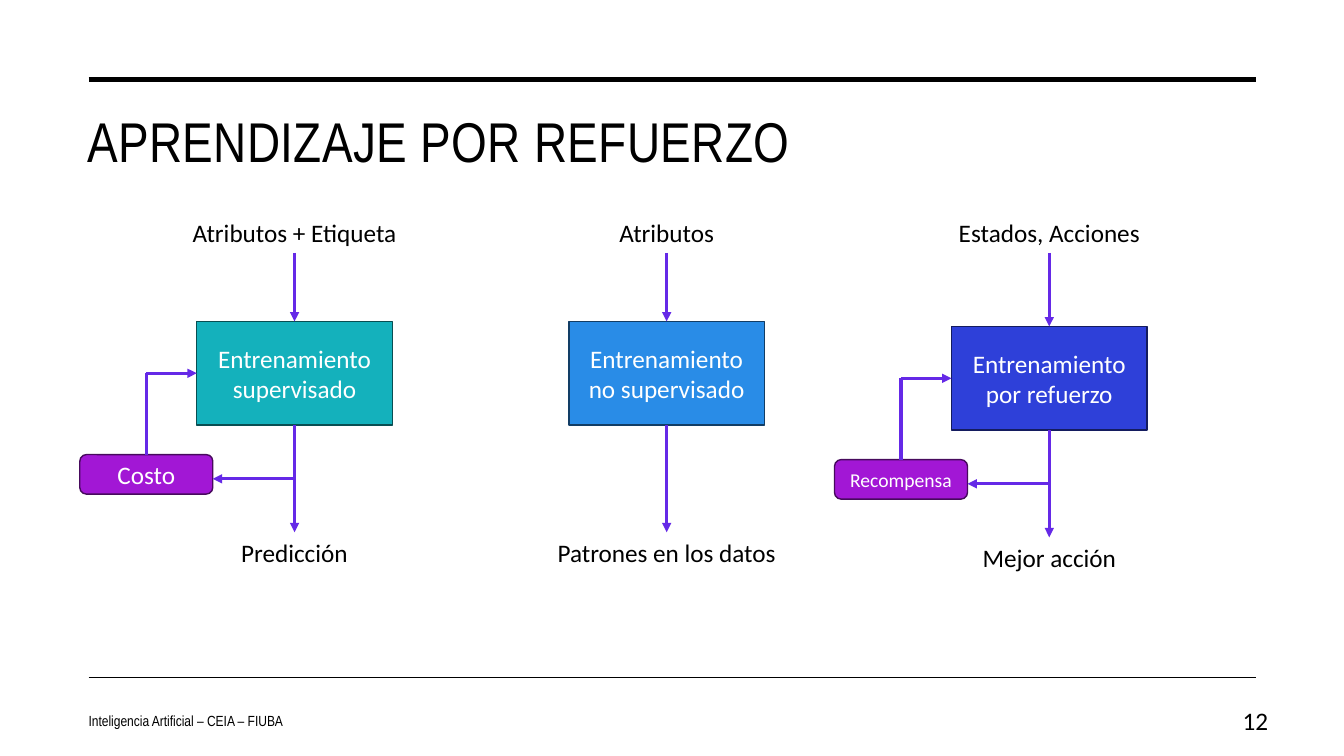
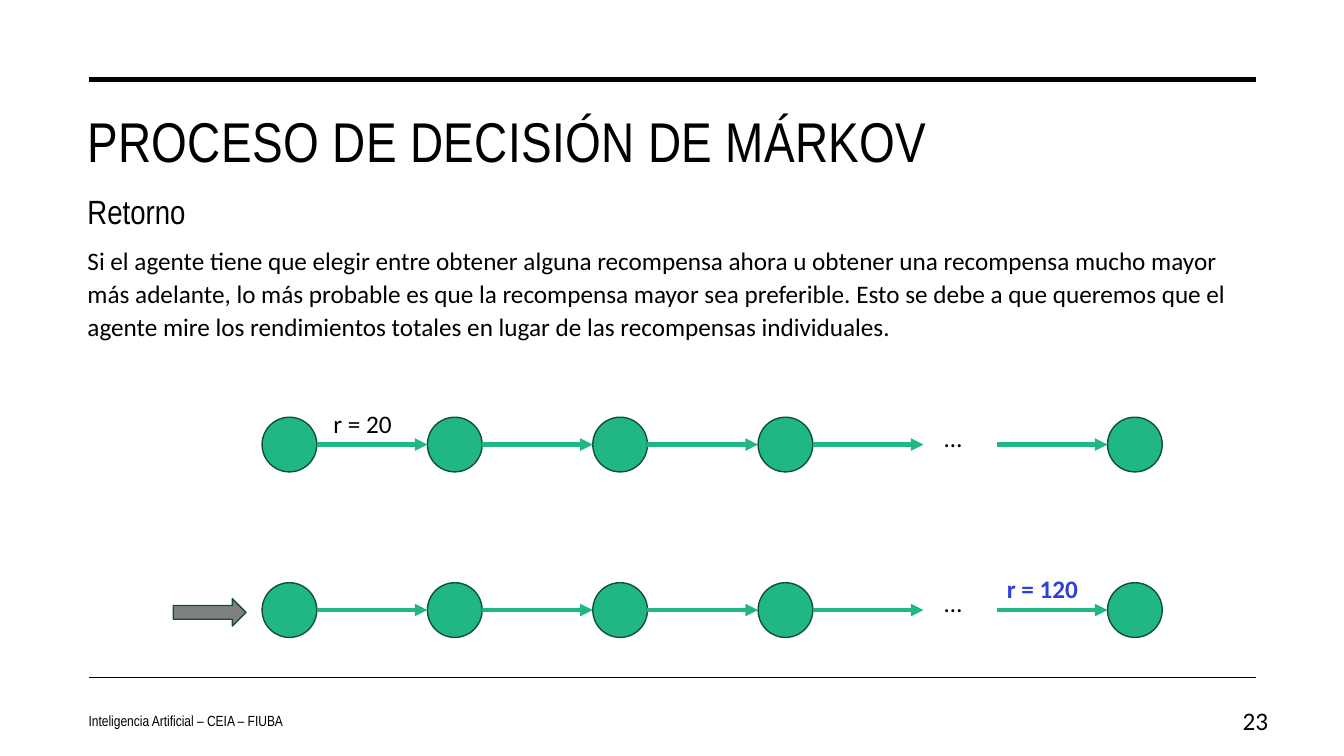
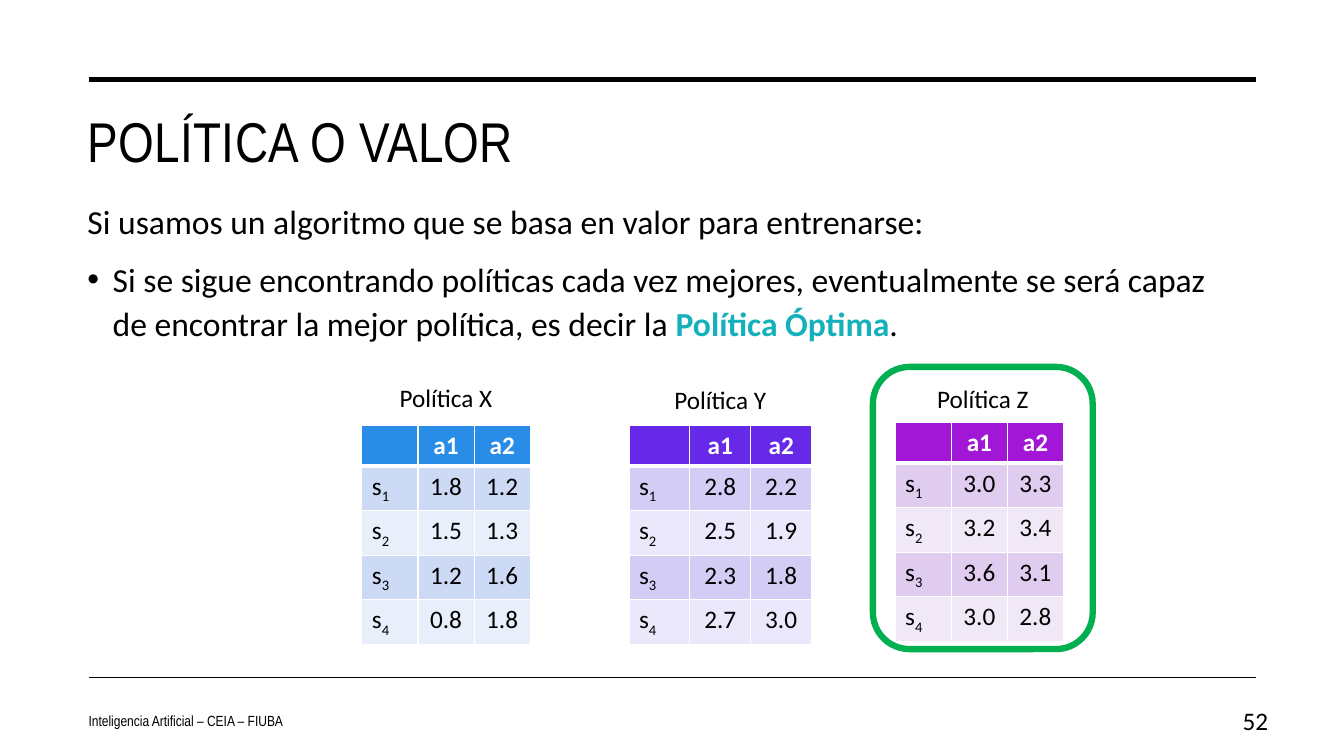
from lxml import etree
from pptx import Presentation
from pptx.dml.color import RGBColor
from pptx.enum import shapes, text
from pptx.oxml import ns
from pptx.util import Pt

COLOURS = {
    "black": "000000", "white": "FFFFFF", "grey": "808080",
    "teal": "14B1BC", "teal_edge": "094E52",
    "blue": "298CE7", "blue_edge": "123D65",
    "blue_dark": "CDDAF6", "blue_light": "E8EEFA",
    "indigo": "2E40D9", "indigo_edge": "141C5F",
    "violet": "6529E7", "violet_dark": "D3CDF6", "violet_light": "EAE8FA",
    "purple": "A217D5", "purple_edge": "470A5D",
    "purple_dark": "E0CCEF", "purple_light": "F0E8F7",
    "green": "21B782", "green_edge": "0E5039", "highlight": "00B050",
}
HEADING, BODY = "Arial Narrow", "Calibri"
FOOTER = "Inteligencia Artificial – CEIA – FIUBA"
LEFT, RIGHT, CONTENT_WIDTH = 63.4, 897, 841.7
LABEL_HEIGHT = 29.2

TRAININGS = [
    dict(centre=210.4, drop=0, colour="teal", name="Entrenamiento supervisado",
         source=("Atributos + Etiqueta", 172.8), result=("Predicción", 96.5),
         feedback=("Costo", 18)),
    dict(centre=476.2, drop=0, colour="blue", name="Entrenamiento no supervisado",
         source=("Atributos", 87.1), result=("Patrones en los datos", 176.4),
         feedback=None),
    dict(centre=749.5, drop=3.6, colour="indigo", name="Entrenamiento por refuerzo",
         source=("Estados, Acciones", 154.1), result=("Mejor acción", 116.6),
         feedback=("Recompensa", 14)),
]

RETURN_TEXT = (
    "Si el agente tiene que elegir entre obtener alguna recompensa ahora u obtener "
    "una recompensa mucho mayor más adelante, lo más probable es que la recompensa "
    "mayor sea preferible. Esto se debe a que queremos que el agente mire los "
    "rendimientos totales en lugar de las recompensas individuales."
)
CHAINS = [
    dict(top=298, reward="r = 20", left=231.1, width=61.2, format={}),
    dict(top=416.2, reward="r = 120", left=712.1, width=69.8,
         format=dict(colour="indigo", bold=True)),
]

VALUE_INTRO = "Si usamos un algoritmo que se basa en valor para entrenarse:"
VALUE_POINT = [
    ("Si se sigue encontrando políticas cada vez mejores, eventualmente se será "
     "capaz de encontrar la mejor política, es decir la ", {}),
    ("Política Óptima", dict(colour="teal", bold=True)),
    (".", {}),
]
ACTIONS = ["a1", "a2"]
POLICIES = [
    dict(name="Política X", label=(271.4, 269.3, 94.3), left=258.5, top=303.8,
         column=40.1, colour="blue",
         values=[("1.8", "1.2"), ("1.5", "1.3"), ("1.2", "1.6"), ("0.8", "1.8")]),
    dict(name="Política Y", label=(467.3, 270.7, 94.3), left=449.3, top=303.8,
         column=43.5, colour="violet",
         values=[("2.8", "2.2"), ("2.5", "1.9"), ("2.3", "1.8"), ("2.7", "3.0")]),
    dict(name="Política Z", label=(657.4, 270, 89.3), left=639.4, top=301.7,
         column=40.1, colour="purple",
         values=[("3.0", "3.3"), ("3.2", "3.4"), ("3.6", "3.1"), ("3.0", "2.8")]),
]


def rgb(name):
    return RGBColor.from_string(COLOURS[name])


def points(*lengths):
    return [Pt(length) for length in lengths]


def write(frame, content, size=18, font=BODY, colour="black", bold=False, align="LEFT",
          spacing=None, before=None, after=None, tracking=None, bullet=None):
    para = frame.paragraphs[0]
    if para.runs:
        para = frame.add_paragraph()
    para.alignment = getattr(text.PP_ALIGN, align)
    if spacing:
        para.line_spacing = spacing
    if before is not None:
        para.space_before = Pt(before)
    if after is not None:
        para.space_after = Pt(after)
    if bullet:
        properties = para._p.get_or_add_pPr()
        properties.set("marL", str(Pt(18)))
        properties.set("indent", str(Pt(-18)))
        etree.SubElement(properties, ns.qn("a:buFont")).set("typeface", "Arial")
        etree.SubElement(properties, ns.qn("a:buChar")).set("char", bullet)
    for words, changes in [(content, {})] if isinstance(content, str) else content:
        span = para.add_run()
        span.text = words
        span.font.name = font
        span.font.size = Pt(size)
        span.font.bold = changes.get("bold", bold)
        span.font.color.rgb = rgb(changes.get("colour", colour))
        if tracking:
            span.font._element.set("spc", str(int(tracking * 100)))
        if "baseline" in changes:
            span.font._element.set("baseline", str(changes["baseline"] * 1000))


def add_text(page, content, left, top, width, height=LABEL_HEIGHT, wrap=True,
             anchor="TOP", **format):
    box = page.shapes.add_textbox(*points(left, top, width, height))
    box.text_frame.word_wrap = wrap
    box.text_frame.vertical_anchor = getattr(text.MSO_ANCHOR, anchor)
    write(box.text_frame, content, **format)
    return box


def add_shape(page, kind, left, top, width, height, fill, edge, weight=1,
              content=None, **format):
    shape = page.shapes.add_shape(getattr(shapes.MSO_SHAPE, kind),
                                  *points(left, top, width, height))
    shape.shadow.inherit = False
    if fill:
        shape.fill.solid()
        shape.fill.fore_color.rgb = rgb(fill)
    else:
        shape.fill.background()
    shape.line.color.rgb = rgb(edge)
    shape.line.width = Pt(weight)
    if content:
        write(shape.text_frame, content, colour="white", align="CENTER", **format)
    return shape


def add_line(page, start, end, colour, weight, arrow=True, begin=None, finish=None):
    line = page.shapes.add_connector(shapes.MSO_CONNECTOR.STRAIGHT,
                                     *points(*start, *end))
    line.line.color.rgb = rgb(colour)
    line.line.width = Pt(weight)
    if arrow:
        etree.SubElement(line.line._get_or_add_ln(),
                         ns.qn("a:tailEnd")).set("type", "triangle")
    etree.SubElement(line._element.spPr, ns.qn("a:effectLst"))
    if begin:
        line.begin_connect(*begin)
    if finish:
        line.end_connect(*finish)


def add_page(deck, title, number):
    page = deck.slides.add_slide(deck.slide_layouts[6])
    for y, weight in [(57, 3.5), (484, 1)]:
        add_line(page, (LEFT, y), (RIGHT, y), "black", weight, arrow=False)
    add_text(page, title, 55.4, 72.7, CONTENT_WIDTH, 60, size=40, font=HEADING,
             tracking=0.3)
    add_text(page, FOOTER, 56.2, 500.4, 357, 28.8, anchor="MIDDLE", size=10.5,
             font=HEADING, after=6)
    add_text(page, str(number), 859.7, 500.4, 53.3, 28.8, anchor="MIDDLE", align="RIGHT")
    return page


def add_training(page, training):
    centre, drop, colour = (training[key] for key in ("centre", "drop", "colour"))
    top, width, height = 229.6 + drop, 139.7, 74
    left, middle, bottom = centre - width / 2, top + height / 2, top + height
    box = add_shape(page, "RECTANGLE", left, top, width, height, colour,
                    colour + "_edge", content=training["name"])
    source, result = [
        add_text(page, words, centre - room / 2, y, room, wrap=False, align="CENTER")
        for (words, room), y in [(training["source"], 151.4),
                                 (training["result"], 380.2 + drop)]]
    style = dict(colour="violet", weight=2.25)
    add_line(page, (centre, 180.6), (centre, top), begin=(source, 2), finish=(box, 0), **style)
    add_line(page, (centre, bottom), (centre, 380.2 + drop), begin=(box, 2),
             finish=(result, 0), **style)
    if training["feedback"]:
        words, size = training["feedback"]
        pill_left, pill_top, pill_width = centre - 153.4, 324.7 + drop, 95
        pill_centre, branch = pill_left + pill_width / 2, 342 + drop
        pill = add_shape(page, "ROUNDED_RECTANGLE", pill_left, pill_top, pill_width, 28.2,
                         "purple", "purple_edge", content=words, size=size)
        add_line(page, (centre, branch), (pill_left + pill_width, branch), **style)
        add_line(page, (pill_centre, pill_top), (pill_centre, middle), arrow=False,
                 begin=(pill, 0), **style)
        add_line(page, (pill_centre, middle), (left, middle), finish=(box, 1), **style)


def add_chain(page, chain):
    top, size, step, gap, last = chain["top"], 39.1, 118.1, 79, 791.1
    middle = top + size / 2
    lefts = [187.2 + step * index for index in range(4)]
    for left in lefts + [last]:
        add_shape(page, "OVAL", left, top, size, size, "green", "green_edge")
    for start in [left + size for left in lefts] + [last - gap]:
        add_line(page, (start, middle), (start + gap, middle), "green", 3)
    add_text(page, "…", 667.4, top, 32.4, wrap=False)
    add_text(page, chain["reward"], chain["left"], top - 10, chain["width"],
             wrap=False, **chain["format"])


def set_borders(cell, bottom):
    properties = cell._tc.get_or_add_tcPr()
    for index, (side, weight) in enumerate(
            [("lnL", 1), ("lnR", 1), ("lnT", 1), ("lnB", bottom)]):
        border = etree.Element(ns.qn("a:" + side), w=str(Pt(weight)))
        fill = etree.SubElement(border, ns.qn("a:solidFill"))
        etree.SubElement(fill, ns.qn("a:srgbClr")).set("val", COLOURS["white"])
        properties.insert(index, border)


def add_policy(page, policy):
    rows = [[""] + ACTIONS] + [
        [[("s", {}), (str(state), dict(baseline=-25))], *values]
        for state, values in enumerate(policy["values"], 1)]
    table = page.shapes.add_table(
        len(rows), len(rows[0]),
        *points(policy["left"], policy["top"], policy["column"] * len(rows[0]),
                LABEL_HEIGHT * len(rows))).table
    table.horz_banding = False
    for column in table.columns:
        column.width = Pt(policy["column"])
    for r, row in enumerate(rows):
        table.rows[r].height = Pt(LABEL_HEIGHT)
        shade = "" if r == 0 else "_dark" if r % 2 else "_light"
        for c, content in enumerate(row):
            cell = table.cell(r, c)
            cell.fill.solid()
            cell.fill.fore_color.rgb = rgb(policy["colour"] + shade)
            set_borders(cell, bottom=1 if r else 3)
            if content:
                write(cell.text_frame, content, bold=r == 0,
                      colour="black" if r else "white", align="CENTER" if c else "LEFT")
    add_text(page, policy["name"], *policy["label"], wrap=False, align="CENTER")


def main():
    deck = Presentation()
    deck.slide_width, deck.slide_height = points(960, 540)

    page = add_page(deck, "APRENDIZAJE POR REFUERZO", 12)
    for training in TRAININGS:
        add_training(page, training)

    page = add_page(deck, "PROCESO DE DECISIÓN DE MÁRKOV", 23)
    add_text(page, RETURN_TEXT, 55.4, 169.2, CONTENT_WIDTH, 90, spacing=1.1, before=10)
    add_text(page, "Retorno", 55.4, 132.5, 605.5, 36, size=24, font=HEADING)
    add_shape(page, "RIGHT_ARROW", 123.8, 427.7, 52, 19.5, "grey", "green_edge")
    for chain in CHAINS:
        add_chain(page, chain)

    page = add_page(deck, "POLÍTICA O VALOR", 52)
    body = dict(size=24, spacing=1.1, before=10)
    box = add_text(page, VALUE_INTRO, 55.4, 136.8, CONTENT_WIDTH, 120, **body)
    write(box.text_frame, VALUE_POINT, bullet="•", **body)
    for policy in POLICIES:
        add_policy(page, policy)
    add_shape(page, "ROUNDED_RECTANGLE", 623.5, 262.1, 157, 201.6, None, "highlight", 4.5)

    deck.save("out.pptx")


if __name__ == "__main__":
    main()
